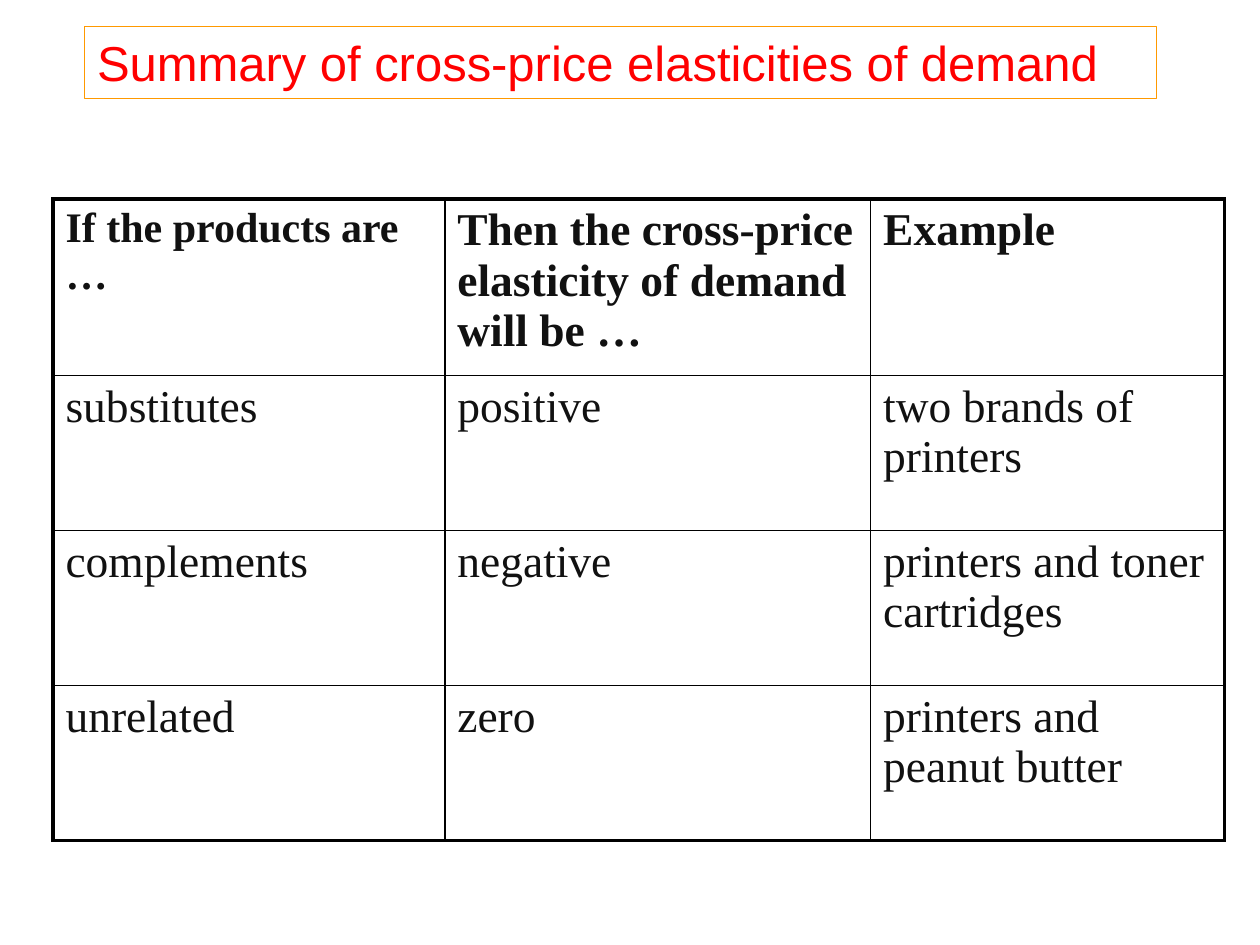
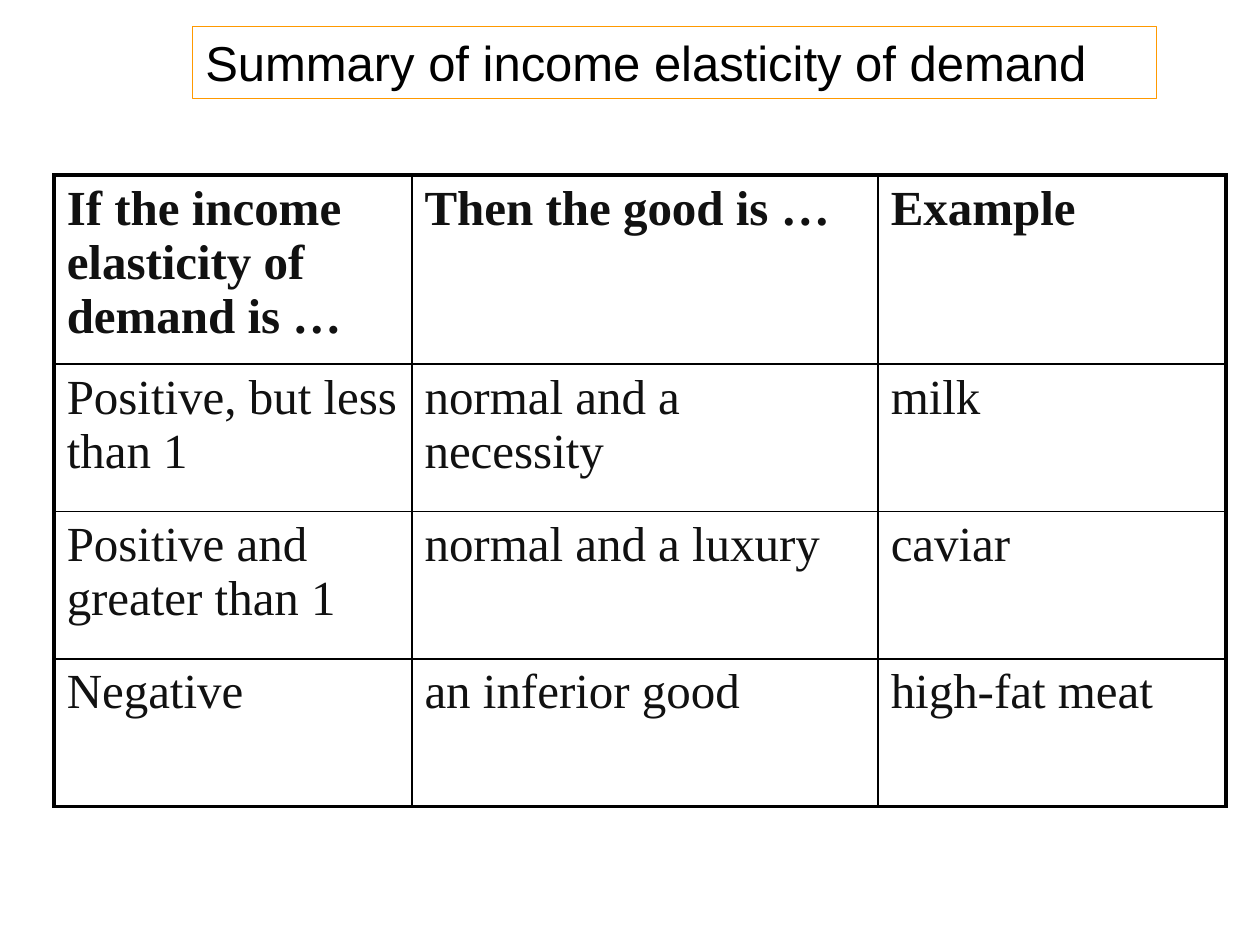
from lxml import etree
from pptx import Presentation
from pptx.dml.color import RGBColor
from pptx.enum import text
from pptx.oxml import ns
from pptx.util import Inches, Pt

COLOURS = {"paper": "FFFFFF", "frame": "FF9900", "alert": "FF0000",
           "rule": "000000", "ink": "111111"}
TITLE_TOP, TITLE_HEIGHT, TITLE_RIGHT = 0.21, 0.57, 9.18
OUTER_RULE, INNER_RULE = 2.25, 1

# Content: one entry per slide, lengths in inches and sizes in points
SUMMARIES = [
    {
        "title": "Summary of cross-price elasticities of demand",
        "title_left": 0.67, "title_colour": "alert",
        "table_at": (0.42, 1.58), "columns": (3.11, 3.38, 2.81),
        "header_height": 1.4, "row_height": 1.23,
        "header_sizes": (24, 26, 26), "body_size": 26,
        "rows": [
            ("If the products are …",
             "Then the cross-price elasticity of demand will be …", "Example"),
            ("substitutes", "positive", "two brands of printers"),
            ("complements", "negative", "printers and toner cartridges"),
            ("unrelated", "zero", "printers and peanut butter"),
        ],
    },
    {
        "title": "Summary of income elasticity of demand",
        "title_left": 1.53, "title_colour": "rule",
        "table_at": (0.43, 1.39), "columns": (2.84, 3.7, 2.76),
        "header_height": 1.5, "row_height": 1.17,
        "header_sizes": (28, 28, 28), "body_size": 28,
        "rows": [
            ("If the income elasticity of demand is …",
             "Then the good is …", "Example"),
            ("Positive, but less than 1", "normal and a necessity", "milk"),
            ("Positive and greater than 1", "normal and a luxury", "caviar"),
            ("Negative", "an inferior good", "high-fat meat"),
        ],
    },
]


def colour(name):
    return RGBColor.from_string(COLOURS[name])


def set_all(target, values):
    for name, value in values.items():
        setattr(target, name, value)


def write(frame, words, font_name, size, ink, bold=False):
    frame.text = words
    paragraph = frame.paragraphs[0]
    paragraph.alignment = text.PP_ALIGN.LEFT
    font = paragraph.runs[0].font
    set_all(font, {"name": font_name, "size": Pt(size), "bold": bold})
    font.color.rgb = colour(ink)


def add_title(slide, summary):
    title = slide.shapes.title
    left = summary["title_left"]
    set_all(title, {"left": Inches(left), "top": Inches(TITLE_TOP),
                    "width": Inches(TITLE_RIGHT - left),
                    "height": Inches(TITLE_HEIGHT)})
    title.fill.solid()
    title.fill.fore_color.rgb = colour("paper")
    title.line.color.rgb = colour("frame")
    title.line.width = Pt(0.75)
    set_all(title.text_frame, {"word_wrap": True,
                               "auto_size": text.MSO_AUTO_SIZE.NONE,
                               "vertical_anchor": text.MSO_ANCHOR.TOP})
    write(title.text_frame, summary["title"], "Arial", 28,
          summary["title_colour"])


def add_borders(cell, outer_sides):
    """Rule all four sides, with heavier lines on the table's outer edge."""
    properties = cell._tc.get_or_add_tcPr()
    for index, side in enumerate("LRTB"):
        width = OUTER_RULE if side in outer_sides else INNER_RULE
        line = etree.Element(ns.qn(f"a:ln{side}"), w=str(Pt(width)))
        fill = etree.SubElement(line, ns.qn("a:solidFill"))
        etree.SubElement(fill, ns.qn("a:srgbClr"), val=COLOURS["rule"])
        properties.insert(index, line)


def add_summary_table(slide, summary):
    rows, columns = summary["rows"], summary["columns"]
    heights = [summary["header_height"]]
    heights += [summary["row_height"]] * (len(rows) - 1)
    box = (*summary["table_at"], sum(columns), sum(heights))
    table = slide.shapes.add_table(len(rows), len(columns),
                                   *map(Inches, box)).table
    set_all(table, {"first_row": False, "horz_banding": False})
    for column, width in zip(table.columns, columns):
        column.width = Inches(width)
    for row, height in zip(table.rows, heights):
        row.height = Inches(height)

    last_row, last_column = len(rows) - 1, len(columns) - 1
    for r, row in enumerate(rows):
        for c, words in enumerate(row):
            cell = table.cell(r, c)
            cell.fill.background()
            size = summary["body_size"] if r else summary["header_sizes"][c]
            write(cell.text_frame, words, "Times New Roman", size, "ink",
                  bold=r == 0)
            on_edge = {"L": c == 0, "R": c == last_column,
                       "T": r == 0, "B": r == last_row}
            add_borders(cell, [side for side, edge in on_edge.items() if edge])


def main():
    presentation = Presentation()
    set_all(presentation, {"slide_width": Inches(10),
                           "slide_height": Inches(7.5)})
    title_only = presentation.slide_layouts[5]
    for summary in SUMMARIES:
        slide = presentation.slides.add_slide(title_only)
        add_title(slide, summary)
        add_summary_table(slide, summary)
    presentation.save("out.pptx")


if __name__ == "__main__":
    main()
